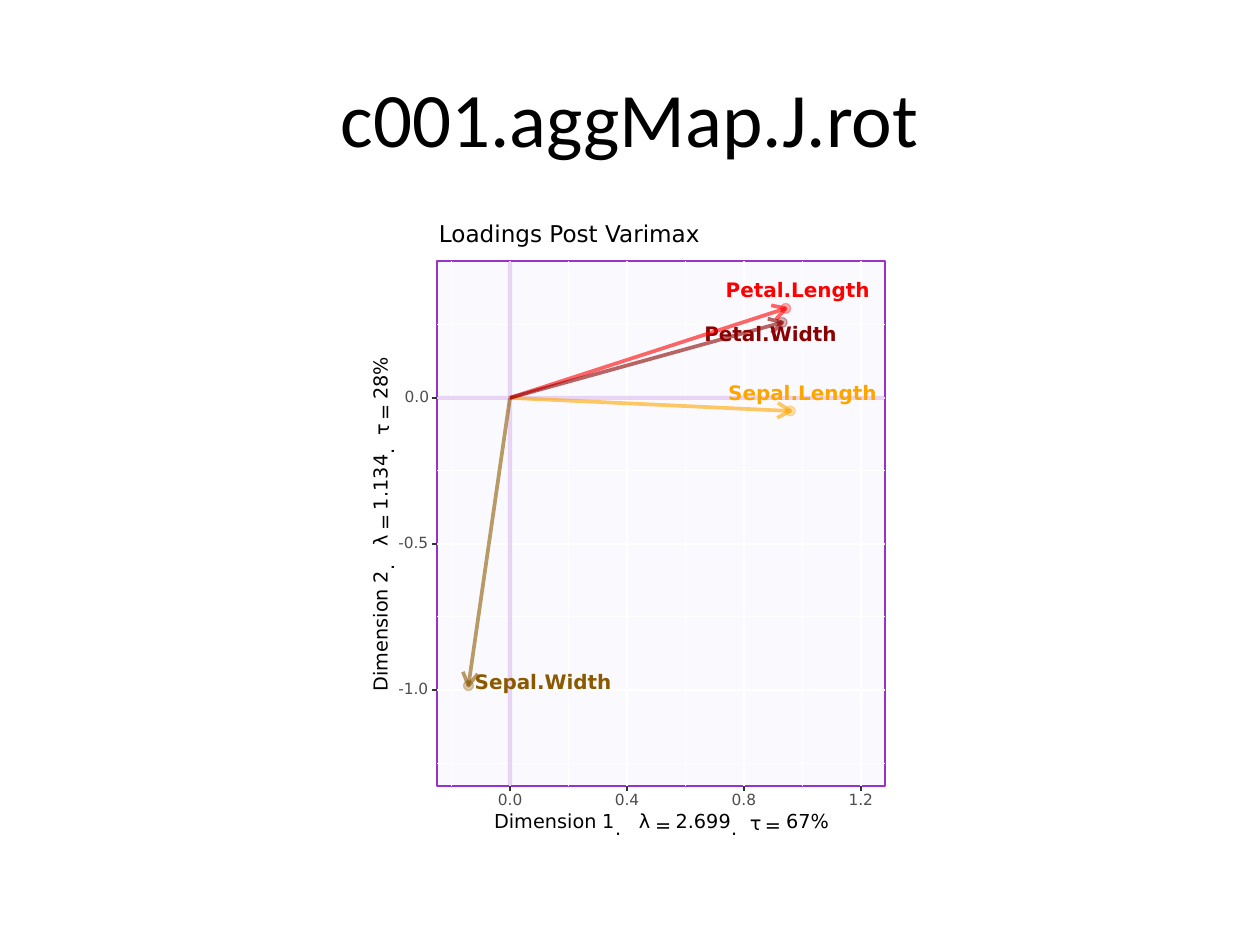
import math
from lxml import etree
from pptx import Presentation, util as u
from pptx.dml.color import RGBColor
from pptx.enum import shapes, text
from pptx.oxml.ns import qn

# Content
TITLE = "c001.aggMap.J.rot"
PLOT_TITLE = "Loadings Post Varimax"
COLORS = {
    "white": "FFFFFF", "black": "000000", "panel": "E6E6FA", "violet": "9932CC",
    "tick": "333333", "tick label": "4D4D4D", "Sepal.Length": "FFA500",
    "Sepal.Width": "8B5A00", "Petal.Length": "FF0000", "Petal.Width": "8B0000",
}
# variable: loading on each dimension in percent, label box in cm
LOADINGS = {
    "Sepal.Length": ((96, -4.5), (14.68, 7.77, 3.0, 0.38)),
    "Sepal.Width": ((-14.2, -98.5), (9.57, 13.59, 2.74, 0.38)),
    "Petal.Length": ((94.4, 30.6), (14.63, 5.69, 2.9, 0.38)),
    "Petal.Width": ((93.2, 25.8), (14.2, 6.61, 2.67, 0.3)),
}
X_MAJOR, X_MINOR = (0, 0.4, 0.8, 1.2), (-0.2, 0.2, 0.6, 1)
Y_MAJOR, Y_MINOR = (-1, -0.5, 0), (-1.25, -0.75, -0.25, 0.25)
# dimension, eigenvalue, share; start of the axis title in cm; rotation
AXES = [("1", "2.699", "67", 9.96, 16.59, 0), ("2", "1.134", "28", 7.7, 13.94, 270)]

# Geometry in cm
LEFT, TOP, WIDTH, HEIGHT = 8.81, 5.26, 9.04, 10.59
RIGHT, BOTTOM = LEFT + WIDTH, TOP + HEIGHT
ORIGIN_X, ORIGIN_Y, UNIT = 10.28, 8.02, 5.89
TICK, DOT, HEAD, HEAD_ANGLE = 0.1, 0.2, 0.3, math.radians(30)
SLACK = 0.1  # spare width that keeps each text on one line

deck = Presentation()
deck.slide_width, deck.slide_height = u.Cm(25.4), u.Cm(19.05)
page = deck.slides.add_slide(deck.slide_layouts[5])


def x_at(value):
    return ORIGIN_X + value * UNIT


def y_at(value):
    return ORIGIN_Y - value * UNIT


def paint(color_format, name, opacity=100):
    """Set the colour of a solid fill and its opacity in percent."""
    color_format.fore_color.rgb = RGBColor.from_string(COLORS[name])
    if opacity < 100:
        color = color_format._xPr.find(".//" + qn("a:srgbClr"))
        etree.SubElement(color, qn("a:alpha"), val=str(opacity * 1000))


def outline(shape, name, width, opacity=100):
    shape.line.width = u.Pt(width)
    shape.line.fill.solid()
    paint(shape.line.fill, name, opacity)


def add_area(kind, left, top, width, height, fill, line, weight,
             fill_opacity=100, line_opacity=100):
    area = plot.shapes.add_shape(kind, *map(u.Cm, (left, top, width, height)))
    area.shadow.inherit = False
    area.fill.solid()
    paint(area.fill, fill, fill_opacity)
    outline(area, line, weight, line_opacity)


def add_line(x1, y1, x2, y2, color, weight, opacity=100):
    line = plot.shapes.add_connector(shapes.MSO_CONNECTOR.STRAIGHT,
                                     *map(u.Cm, (x1, y1, x2, y2)))
    outline(line, color, weight, opacity)
    etree.SubElement(line._element.spPr, qn("a:effectLst"))


def add_text(words, left, top, width, height, size=11, color="black",
             bold=False, rotation=0):
    if rotation:  # the spare width goes to the upper end
        left, top = left - SLACK / 2, top - SLACK / 2
    box = plot.shapes.add_textbox(*map(u.Cm, (left, top, width + SLACK, height)))
    box.rotation = rotation
    frame = box.text_frame
    frame.word_wrap = False
    frame.vertical_anchor = text.MSO_ANCHOR.MIDDLE
    frame.margin_left = frame.margin_right = frame.margin_top = frame.margin_bottom = 0
    para = frame.paragraphs[0]
    para.alignment = text.PP_ALIGN.LEFT
    para.line_spacing = u.Pt(size)
    span = para.add_run()
    span.text = words
    span.font.name, span.font.size, span.font.bold = "DejaVu Sans", u.Pt(size), bold
    span.font.color.rgb = RGBColor.from_string(COLORS[color])


# Slide title
title = page.shapes.title
title.left, title.top, title.width, title.height = map(u.Cm, (1.27, 0.76, 22.86, 3.18))
title.text_frame.text = TITLE
title.text_frame.vertical_anchor = text.MSO_ANCHOR.MIDDLE
heading = title.text_frame.paragraphs[0]
heading.alignment = text.PP_ALIGN.CENTER
heading.font.name, heading.font.size = "Calibri", u.Pt(44)
heading.font.color.rgb = RGBColor.from_string(COLORS["black"])

# Backgrounds and panel
plot = page.shapes.add_group_shape()
RECT, OVAL = shapes.MSO_SHAPE.RECTANGLE, shapes.MSO_SHAPE.OVAL
add_area(RECT, 1.27, 4.45, 22.86, 12.57, "white", "white", 0.75)
add_area(RECT, 7.37, 4.45, 10.69, 12.57, "white", "white", 1.07)
add_area(RECT, LEFT, TOP, WIDTH, HEIGHT, "panel", "violet", 1.07, fill_opacity=20)

# Grid lines, then the two zero lines
for x_values, y_values, color, weight, opacity in (
        (X_MINOR, Y_MINOR, "white", 0.53, 100),
        (X_MAJOR, Y_MAJOR, "white", 1.07, 100),
        ((0,), (0,), "violet", 2.35, 20)):
    for value in y_values:
        add_line(LEFT, y_at(value), RIGHT, y_at(value), color, weight, opacity)
    for value in x_values:
        add_line(x_at(value), BOTTOM, x_at(value), TOP, color, weight, opacity)

# Points and their labels
tips = {name: (x_at(x / 100), y_at(y / 100)) for name, ((x, y), _) in LOADINGS.items()}
for name, (tip_x, tip_y) in tips.items():
    add_area(OVAL, tip_x - DOT / 2, tip_y - DOT / 2, DOT, DOT, name, name, 0.71,
             fill_opacity=30, line_opacity=30)
for name, (_, place) in LOADINGS.items():
    add_text(name, *place, size=11.4, color=name, bold=True)

# Arrows from the origin with open heads
for name, (tip_x, tip_y) in tips.items():
    add_line(ORIGIN_X, ORIGIN_Y, tip_x, tip_y, name, 2.13, 60)
    back = math.atan2(ORIGIN_Y - tip_y, ORIGIN_X - tip_x)
    start, end = [(u.Cm(tip_x + HEAD * math.cos(back + turn)),
                   u.Cm(tip_y + HEAD * math.sin(back + turn)))
                  for turn in (-HEAD_ANGLE, HEAD_ANGLE)]
    builder = plot.shapes.build_freeform(*start)
    builder.add_line_segments([(u.Cm(tip_x), u.Cm(tip_y)), end], close=False)
    head = builder.convert_to_shape()
    head.shadow.inherit = False
    head.fill.background()
    outline(head, name, 2.13, 60)

# Ticks and tick labels
for value in Y_MAJOR:
    width = 0.61 if value < 0 else 0.48
    add_line(LEFT - TICK, y_at(value), LEFT, y_at(value), "tick", 1.07)
    add_text(f"{value:.1f}", 8.64 - width, y_at(value) - 0.12, width, 0.23,
             size=8.8, color="tick label")
for value in X_MAJOR:
    add_line(x_at(value), BOTTOM + TICK, x_at(value), BOTTOM, "tick", 1.07)
    add_text(f"{value:.1f}", x_at(value) - 0.24, 16.03, 0.48, 0.23,
             size=8.8, color="tick label")

# Axis titles: words, offset along the axis, width, height, drop below the middle
for dimension, eigenvalue, share, start_x, start_y, rotation in AXES:
    for words, offset, width, height, drop in (
            ("Dimension ", 0, 2.18, 0.3, 0), (dimension, 2.18, 0.25, 0.3, 0),
            (". ", 2.44, 0.25, 0.05, 0.13), ("λ", 2.92, 0.23, 0.3, 0),
            ("=", 3.25, 0.33, 0.1, 0.08), (eigenvalue, 3.66, 1.12, 0.3, 0),
            (".", 4.78, 0.13, 0.05, 0.13), ("τ", 5.16, 0.23, 0.2, 0.03),
            ("=", 5.46, 0.33, 0.1, 0.08), (share, 5.89, 0.48, 0.3, 0),
            ("%", 6.38, 0.38, 0.3, 0)):
        along = offset + width / 2
        middle_x, middle_y = ((start_x + drop, start_y - along) if rotation
                              else (start_x + along, start_y + drop))
        add_text(words, middle_x - width / 2, middle_y - height / 2, width, height,
                 rotation=rotation)
add_text(PLOT_TITLE, 8.85, 4.52, 5.31, 0.46, size=13.2)

deck.save("out.pptx")
